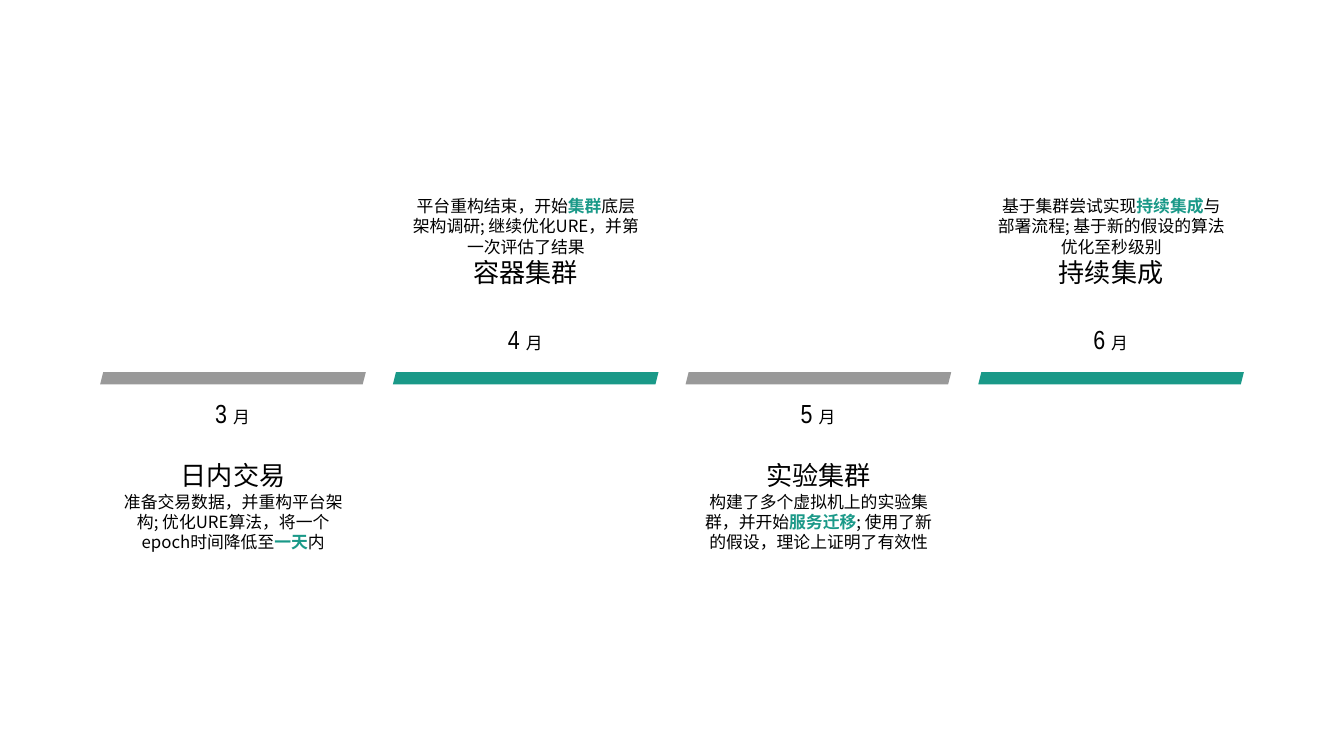
import pptx
import pptx.dml.color
import pptx.enum.shapes
import pptx.enum.text
import pptx.oxml.ns
import pptx.util
import lxml.etree

Pt = pptx.util.Pt
CJK_FONT = "Noto Sans CJK SC"
GRAY, TEAL, BLACK = "999999", "1A9988", "000000"
COLUMN_LEFT, COLUMN_STEP, BAR_TOP = 53.7, 156.8, 199.4
UPPER_TEXT_BOTTOM = 154.3

# month, title, (before, highlight, after), whether above the bar, top of details
MILESTONES = [
    ("3", "日内交易",
     ("准备交易数据，并重构平台架构; 优化URE算法，将一个epoch时间降低至", "一天", "内"),
     False, 239.2),
    ("4", "容器集群",
     ("平台重构结束，开始", "集群", "底层架构调研; 继续优化URE，并第一次评估了结果"),
     True, 98),
    ("5", "实验集群",
     ("构建了多个虚拟机上的实验集群，并开始", "服务迁移",
      "; 使用了新的假设，理论上证明了有效性"),
     False, 239.2),
    ("6", "持续集成",
     ("基于集群尝试实现", "持续集成", "与部署流程; 基于新的假设的算法优化至秒级别"),
     True, 76.3),
]


def color(hex_text):
    return pptx.dml.color.RGBColor.from_string(hex_text)


def add_span(para, text, size, font, ink=BLACK, bold=False):
    span = para.add_run()
    span.text = text
    span.font.size = Pt(size)
    span.font.name = font
    span.font.bold = bold
    span.font.color.rgb = color(ink)
    if font == CJK_FONT:
        east_asian = lxml.etree.SubElement(
            span.font._element, pptx.oxml.ns.qn("a:ea"))
        east_asian.set("typeface", font)


def add_text_frame(page, left, top, width, height):
    box = page.shapes.add_textbox(Pt(left), Pt(top), Pt(width), Pt(height))
    frame = box.text_frame
    frame.word_wrap = True
    frame.margin_left = frame.margin_right = Pt(7.2)
    frame.margin_top = frame.margin_bottom = Pt(7.2)
    return frame


def add_bar(page, left, top, width, height, fill):
    bar = page.shapes.add_shape(
        pptx.enum.shapes.MSO_SHAPE.PARALLELOGRAM,
        Pt(left), Pt(top), Pt(width), Pt(height))
    bar.adjustments[0] = 0.25
    bar.shadow.inherit = False
    bar.fill.solid()
    bar.fill.fore_color.rgb = color(fill)
    bar.line.fill.background()


def add_month(page, left, top, width, height, month):
    para = add_text_frame(page, left, top, width, height).paragraphs[0]
    para.alignment = pptx.enum.text.PP_ALIGN.CENTER
    add_span(para, month + " ", 14, "Arial Narrow")
    add_span(para, "月", 9, "Arial")


def add_details(page, left, top, width, height, title, parts, above):
    """Title and description; above the bar the title comes last."""
    frame = add_text_frame(page, left, top, width, height)
    first, second = frame.paragraphs[0], frame.add_paragraph()
    title_para, body_para = (second, first) if above else (first, second)
    if above:
        frame.vertical_anchor = pptx.enum.text.MSO_ANCHOR.BOTTOM
        frame.margin_bottom = Pt(top + height - UPPER_TEXT_BOTTOM)
    for para in (first, second):
        para.alignment = pptx.enum.text.PP_ALIGN.CENTER
    add_span(title_para, title, 14, CJK_FONT)
    before, highlight, after = parts
    add_span(body_para, before, 9, CJK_FONT)
    add_span(body_para, highlight, 9, CJK_FONT, TEAL, True)
    add_span(body_para, after, 9, CJK_FONT)


def add_milestone(page, left, month, title, parts, above, details_top):
    add_bar(page, left, BAR_TOP, 142.3, 6.5, TEAL if above else GRAY)
    month_top = BAR_TOP - 33.4 if above else BAR_TOP + 6.5
    add_month(page, left + 24.4, month_top, 93, 33, month)
    add_details(page, left + 1.2, details_top, 140, 89.3, title, parts, above)


def main():
    deck = pptx.Presentation()
    deck.slide_width, deck.slide_height = Pt(720), Pt(405)
    page = deck.slides.add_slide(deck.slide_layouts[6])
    for index, milestone in enumerate(MILESTONES):
        add_milestone(page, COLUMN_LEFT + index * COLUMN_STEP, *milestone)
    deck.save("out.pptx")


if __name__ == "__main__":
    main()
